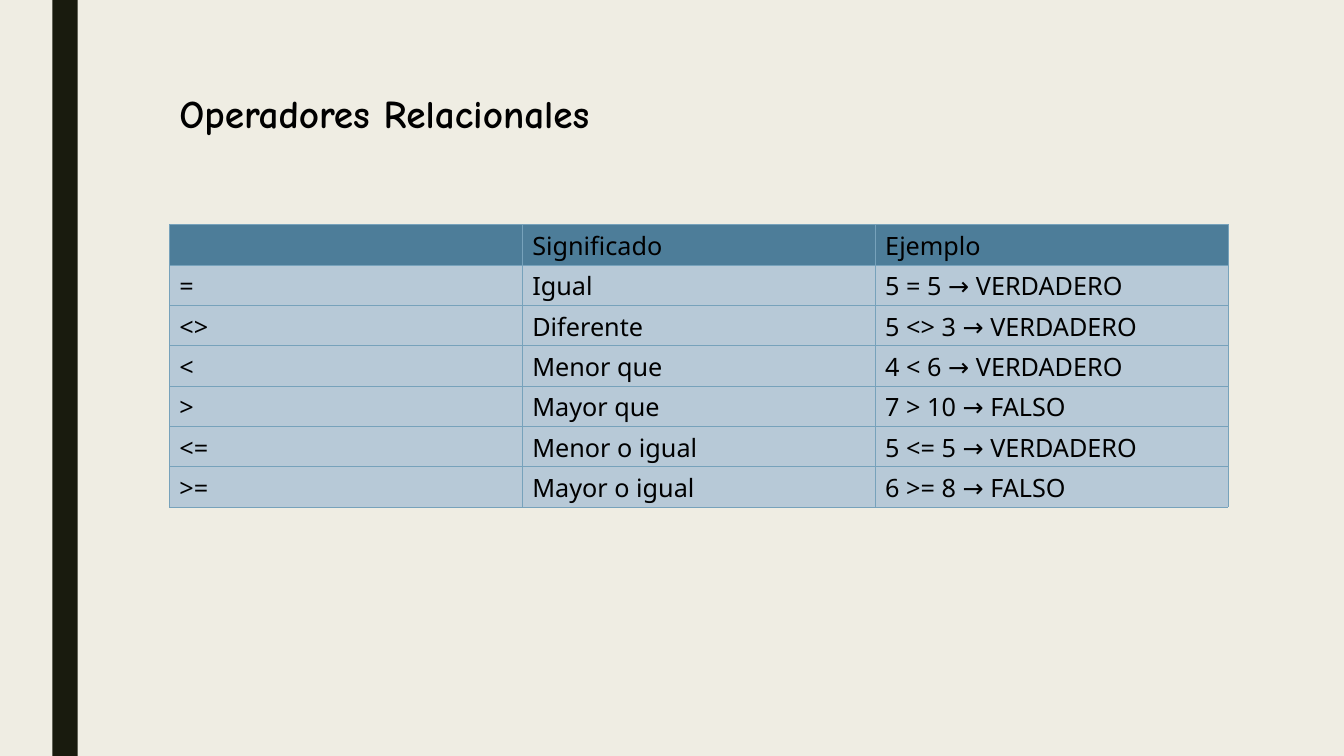
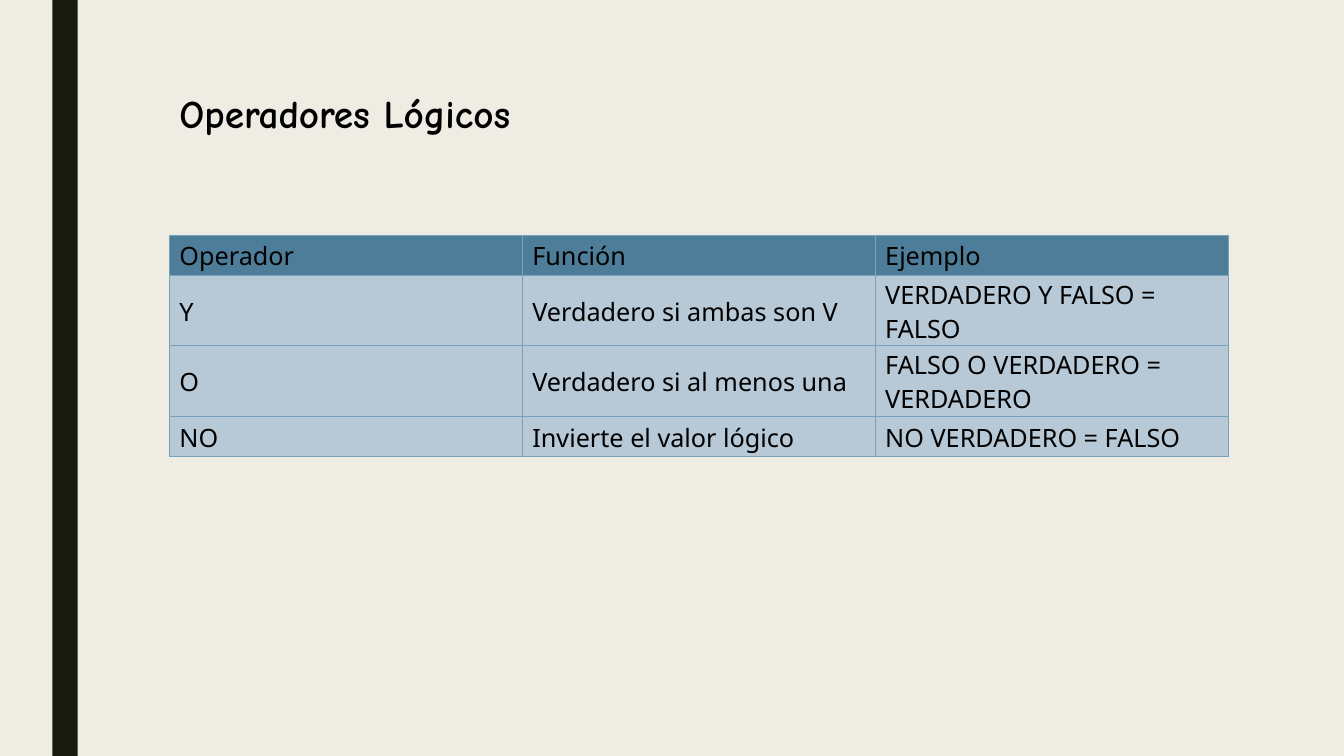
from dataclasses import dataclass

from pptx import Presentation
from pptx import util as u
from pptx.dml.color import RGBColor
from pptx.enum import shapes, text
from pptx.oxml import parse_xml
from pptx.oxml.ns import nsdecls


@dataclass(frozen=True)
class Theme:
    paper: str = "EFEDE3"
    bar: str = "191B0E"
    ink: str = "000000"
    header: str = "4D7D99"
    body: str = "B7C9D7"
    border: str = "77A2BB"
    border_width: float = 0.5
    title_font: str = "Comic Neue"
    title_size: int = 28
    table_font: str = "Noto Sans"
    table_size: int = 18


THEME = Theme()
LEFT = 1.68
COLUMN_WIDTH = 3.5
SINGLE_ROW = 0.4
DOUBLE_ROW = 0.7

RELATIONAL = [
    ("", "Significado", "Ejemplo"),
    ("=", "Igual", "5 = 5 → VERDADERO"),
    ("<>", "Diferente", "5 <> 3 → VERDADERO"),
    ("<", "Menor que", "4 < 6 → VERDADERO"),
    (">", "Mayor que", "7 > 10 → FALSO"),
    ("<=", "Menor o igual", "5 <= 5 → VERDADERO"),
    (">=", "Mayor o igual", "6 >= 8 → FALSO"),
]
LOGICAL = [
    ("Operador", "Función", "Ejemplo"),
    ("Y", "Verdadero si ambas son V", "VERDADERO Y FALSO = FALSO"),
    ("O", "Verdadero si al menos una", "FALSO O VERDADERO = VERDADERO"),
    ("NO", "Invierte el valor lógico", "NO VERDADERO = FALSO"),
]


def paint(fill, color):
    fill.solid()
    fill.fore_color.rgb = RGBColor.from_string(color)


def add_run(para, words, font, size, bold=False):
    span = para.add_run()
    span.text = words
    span.font.name = font
    span.font.size = u.Pt(size)
    span.font.bold = bold
    span.font.color.rgb = RGBColor.from_string(THEME.ink)


def add_bar(page, height):
    bar = page.shapes.add_shape(
        shapes.MSO_SHAPE.RECTANGLE, u.Inches(0.52), 0, u.Inches(0.25), height
    )
    bar.shadow.inherit = False
    paint(bar.fill, THEME.bar)
    bar.line.fill.background()


def set_title(page, words):
    title = page.shapes.title
    title.left, title.top = u.Inches(LEFT), u.Inches(0.77)
    title.width, title.height = u.Inches(7.27), u.Inches(0.61)
    frame = title.text_frame
    frame.word_wrap = True
    frame.auto_size = text.MSO_AUTO_SIZE.SHAPE_TO_FIT_TEXT
    frame.vertical_anchor = text.MSO_ANCHOR.TOP
    para = frame.paragraphs[0]
    para.alignment = text.PP_ALIGN.LEFT
    para.line_spacing = 1.15
    para.space_after = u.Pt(8)
    add_run(para, words, THEME.title_font, THEME.title_size, bold=True)


def add_borders(cell):
    properties = cell._tc.get_or_add_tcPr()
    for position, side in enumerate(("lnL", "lnR", "lnT", "lnB")):
        border = parse_xml(
            f'<a:{side} {nsdecls("a")} w="{u.Pt(THEME.border_width)}">'
            f'<a:solidFill><a:srgbClr val="{THEME.border}"/></a:solidFill></a:{side}>'
        )
        properties.insert(position, border)


def fill_cell(cell, words, color):
    paint(cell.fill, color)
    add_borders(cell)
    cell.vertical_anchor = text.MSO_ANCHOR.MIDDLE
    cell.margin_top, cell.margin_bottom = u.Inches(0.02), 0
    if words:
        para = cell.text_frame.paragraphs[0]
        add_run(para, words, THEME.table_font, THEME.table_size)


def add_operator_table(page, top, rows, double_rows):
    heights = [DOUBLE_ROW if i in double_rows else SINGLE_ROW for i in range(len(rows))]
    columns = len(rows[0])
    table = page.shapes.add_table(
        len(rows), columns, u.Inches(LEFT), u.Inches(top),
        u.Inches(COLUMN_WIDTH * columns), u.Inches(sum(heights)),
    ).table
    for column in table.columns:
        column.width = u.Inches(COLUMN_WIDTH)
    for i, (row, height) in enumerate(zip(rows, heights)):
        table.rows[i].height = u.Inches(height)
        color = THEME.body if i else THEME.header
        for j, words in enumerate(row):
            fill_cell(table.cell(i, j), words, color)


def add_page(deck, title, table_top, rows, double_rows=()):
    page = deck.slides.add_slide(deck.slide_layouts.get_by_name("Title Only"))
    add_bar(page, deck.slide_height)
    set_title(page, title)
    add_operator_table(page, table_top, rows, double_rows)


def main():
    deck = Presentation()
    deck.slide_width, deck.slide_height = u.Inches(13.33), u.Inches(7.5)
    paint(deck.slide_master.background.fill, THEME.paper)
    add_page(deck, "Operadores Relacionales", 2.23, RELATIONAL)
    add_page(deck, "Operadores Lógicos", 2.33, LOGICAL, double_rows=(1, 2))
    deck.save("out.pptx")


if __name__ == "__main__":
    main()
